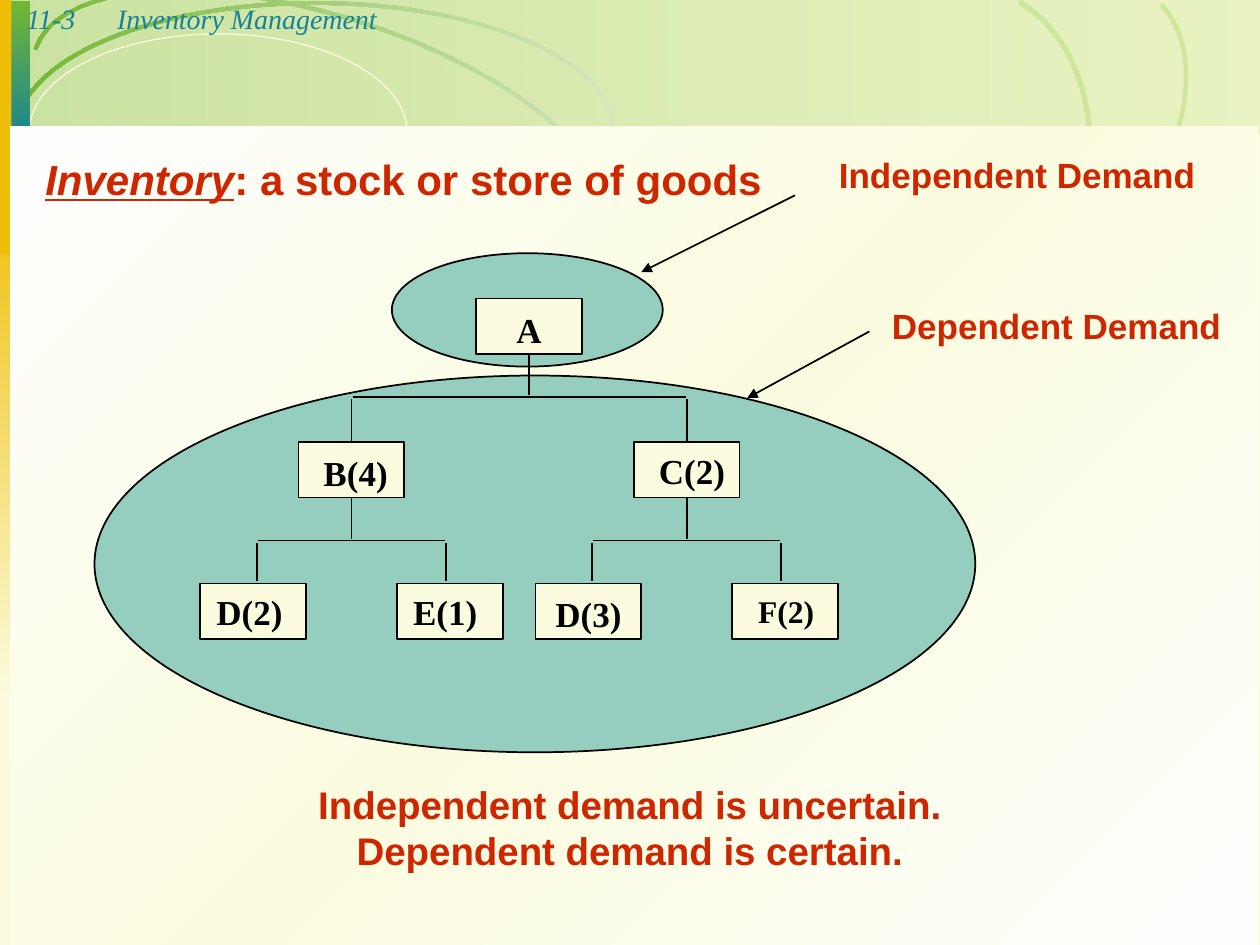
from dataclasses import dataclass

from lxml import etree
from pptx import Presentation
from pptx.dml.color import RGBColor
from pptx.enum import shapes as kinds, text as texts
from pptx.oxml.ns import qn
from pptx.util import Pt


@dataclass(frozen=True)
class Theme:
    sans: str = "Arial"
    serif: str = "Times New Roman"
    black: str = "000000"
    white: str = "FEFEFE"
    cream: str = "FBFCDF"
    mint: str = "95CDBE"
    red: str = "CE2700"
    teal: str = "148298"
    gold: str = "EFBE09"
    green: str = "74B632"
    lime: str = "BCDD7B"
    pale: str = "D4E8C0"
    leaf: str = "CDE69A"
    head: int = 24
    close: int = 22
    label: int = 20
    small: int = 18
    top: int = 16


T = Theme()
KIND = kinds.MSO_SHAPE
BOX_W, BOX_H = 60.5, 31.7


def tint(name):
    return RGBColor.from_string(name)


def blend(form, stops, turn):
    form.fill.gradient()
    form.fill.gradient_angle = 360 - turn
    ramp = form._element.spPr.find(".//" + qn("a:gsLst"))
    ramp.clear()
    for place, name, alpha in stops:
        stop = etree.SubElement(ramp, qn("a:gs"), pos=str(place * 1000))
        hue = etree.SubElement(stop, qn("a:srgbClr"), val=name)
        if alpha < 100:
            etree.SubElement(hue, qn("a:alpha"), val=str(alpha * 1000))


def shape(slide, kind, area, fill=None, line=None, width=1, stops=None, turn=0):
    form = slide.shapes.add_shape(kind, *map(Pt, area))
    form.shadow.inherit = False
    if stops:
        blend(form, stops, turn)
    elif fill:
        form.fill.solid()
        form.fill.fore_color.rgb = tint(fill)
    else:
        form.fill.background()
    if line:
        form.line.color.rgb = tint(line)
        form.line.width = Pt(width)
    else:
        form.line.fill.background()
    return form


def arc(slide, area, spin=0, flip=False, **paint):
    form = shape(slide, KIND.BLOCK_ARC, area, **paint)
    for index, value in enumerate((108, 0, 0.014)):
        form.adjustments[index] = value
    form.rotation = spin
    if flip:
        form._element.spPr.find(qn("a:xfrm")).set("flipV", "1")


def line(slide, start, end, arrow=False):
    link = slide.shapes.add_connector(
        kinds.MSO_CONNECTOR.STRAIGHT, *map(Pt, (*start, *end)))
    link.line.color.rgb = tint(T.black)
    link.line.width = Pt(1)
    props = link._element.spPr
    if arrow:
        etree.SubElement(props.find(qn("a:ln")), qn("a:headEnd"), type="triangle")
    etree.SubElement(props, qn("a:effectLst"))
    return link


def write(frame, words, size=T.label, face=T.sans, color=T.red, bold=True,
          italic=False, under=False, align=texts.PP_ALIGN.LEFT):
    frame.word_wrap = True
    frame.auto_size = texts.MSO_AUTO_SIZE.SHAPE_TO_FIT_TEXT
    frame.vertical_anchor = texts.MSO_ANCHOR.TOP
    para = frame.paragraphs[0]
    para.alignment = align
    for index, part in enumerate(words.split("\n")):
        if index:
            para.add_line_break()
        run = para.add_run()
        run.text = part
        font = run.font
        font.size, font.name, font.color.rgb = Pt(size), face, tint(color)
        font.bold, font.italic, font.underline = bold, italic, under


def note(slide, area, words, **style):
    write(slide.shapes.add_textbox(*map(Pt, area)).text_frame, words, **style)


def box(slide, left, top):
    return shape(slide, KIND.RECTANGLE, (left, top, BOX_W, BOX_H), T.cream, T.black)


def middle(node):
    return (node.left + node.width / 2) / Pt(1)


def fork(slide, node, ends, kids=(None, None)):
    mid = middle(node)
    base = (node.top + node.height) / Pt(1)
    bar = base + 24.5
    line(slide, (mid, base), (mid, bar - 1)).begin_connect(node, 2)
    line(slide, (ends[0] + 0.7, bar), (ends[1] - 0.7, bar))
    for drop, kid in zip(ends, kids):
        link = line(slide, (drop, bar + 1.4), (drop, bar + 23))
        if kid:
            link.end_connect(kid, 0)


def scene(slide):
    slide.background.fill.solid()
    slide.background.fill.fore_color.rgb = tint(T.cream)
    rect = KIND.RECTANGLE
    fade = [(0, T.pale, 100), (100, T.green, 100)]
    shape(slide, rect, (0.7, 0, 720, 76.3), turn=180,
          stops=[(0, T.lime, 29), (100, T.green, 36)])
    arc(slide, (11.5, 7.9, 343.4, 143.3), 17.5, stops=fade, turn=162)
    shape(slide, KIND.OVAL, (16.6, 19.4, 216, 112.3), line=T.cream, width=0.75)
    shape(slide, rect, (0, 111.6, 15.8, 288.7), turn=90,
          stops=[(0, T.gold, 100), (100, T.cream, 100)])
    arc(slide, (365, 23, 343.4, 186.5), 318.2, True, fill=T.leaf)
    arc(slide, (324, 37.4, 343.4, 220.3), 300.7, True, fill=T.leaf)
    arc(slide, (8.6, 0.7, 343.4, 149), stops=fade, turn=180)
    shape(slide, rect, (0.7, 0.7, 16.6, 82), turn=90,
          stops=[(0, T.green, 100), (100, T.teal, 100)])
    shape(slide, rect, (0, 0, 6.5, 145.4), T.gold)
    shape(slide, rect, (5.8, 72.2, 712.8, 467.8), turn=225,
          stops=[(0, T.white, 100), (50, T.cream, 100), (100, T.white, 100)])
    for left, width, words in ((8, 80, "11-3"), (59.8, 612, "Inventory Management")):
        note(slide, (left, -2.6, width, 26.6), words, size=T.top, face=T.serif,
             color=T.teal, bold=False, italic=True)


def tree(slide):
    for area in ((223.9, 144.7, 154.8, 64.8), (54, 214.6, 503.3, 215.3)):
        shape(slide, KIND.OVAL, area, T.mint, T.black)
    root = box(slide, 272.2, 170.6)
    kids = [box(slide, left, 252.7) for left in (170.6, 362.2)]
    for left in (114.5, 226.8, 306, 418.3):
        box(slide, left, 333.4)
    fork(slide, root, [middle(kid) for kid in kids], kids)
    for kid in kids:
        fork(slide, kid, (middle(kid) - 54, middle(kid) + 54))
    for left, top, words, size in (
            (288, 172.8, "A", T.label),
            (177.8, 254.2, "B(4)", T.label),
            (369.4, 253.4, "C(2)", T.label),
            (116.6, 334.1, "D(2)", T.label),
            (229, 334.1, "E(1)", T.label),
            (310.3, 334.8, "D(3)", T.label),
            (426.2, 334.8, "F(2)", T.small)):
        note(slide, (left, top, 56, 31), words, size=size,
             face=T.serif, color=T.black)


def main():
    deck = Presentation()
    deck.slide_width, deck.slide_height = Pt(720), Pt(540)
    slide = deck.slides.add_slide(deck.slide_layouts[5])
    scene(slide)
    tree(slide)
    line(slide, (366.5, 155.5), (454.3, 111.6), arrow=True)
    line(slide, (427, 227.5), (496.8, 189.4), arrow=True)
    note(slide, (472.3, 84.2, 222, 31), "Independent Demand")
    note(slide, (502.6, 170.6, 208, 31), "Dependent Demand")
    note(slide, (0, 442.8, 720, 59.8),
         "Independent demand is uncertain.\nDependent demand is certain.",
         size=T.close, align=texts.PP_ALIGN.CENTER)
    title = slide.shapes.title
    title.left, title.top, title.width, title.height = map(
        Pt, (18.7, 84.2, 432, 36))
    write(title.text_frame, "Inventory", size=T.head, italic=True, under=True)
    write(title.text_frame, ": a stock or store of goods", size=T.head)
    slide.shapes._spTree.append(title._element)
    deck.save("out.pptx")


if __name__ == "__main__":
    main()
